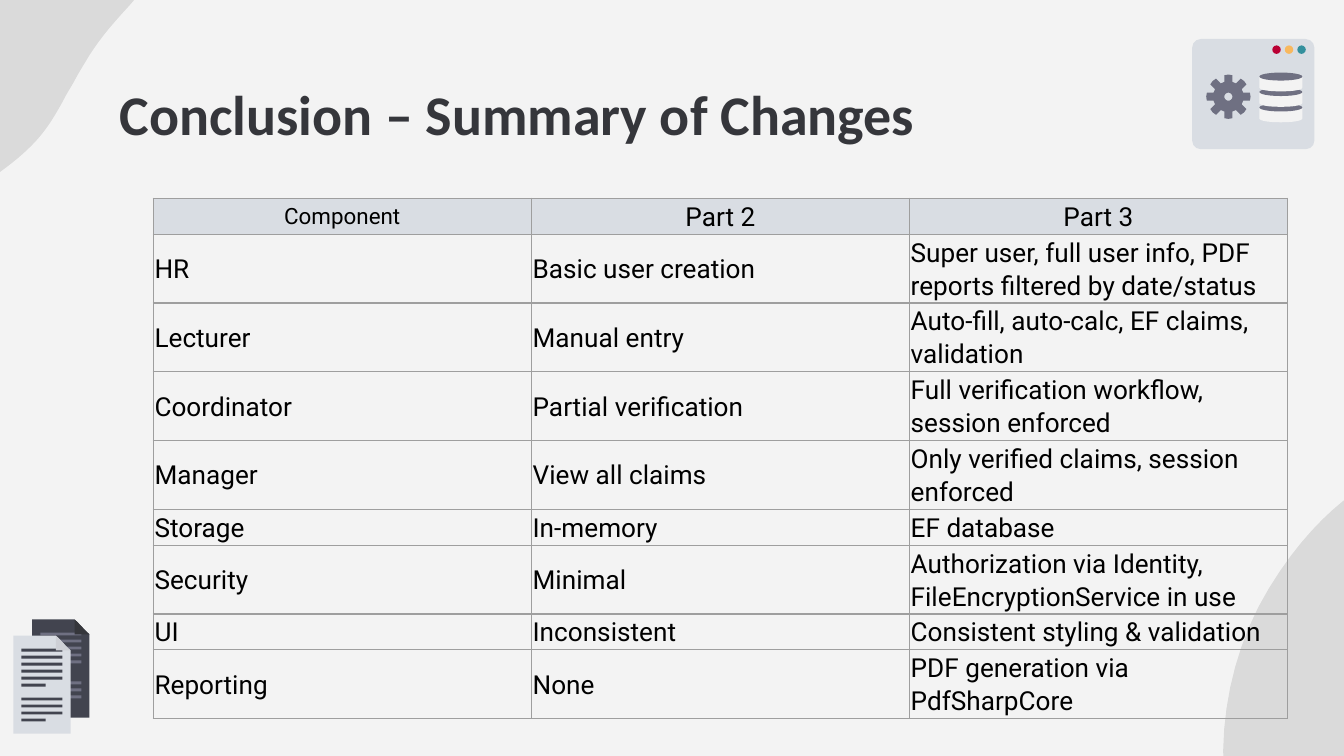
from dataclasses import dataclass
from math import cos, pi, sin

from lxml.etree import SubElement
from pptx import Presentation
from pptx.dml.color import RGBColor
from pptx.enum.shapes import MSO_SHAPE as Preset
from pptx.enum.text import MSO_ANCHOR as Anchor, MSO_AUTO_SIZE as AutoSize, PP_ALIGN as Align
from pptx.oxml.ns import qn
from pptx.util import Inches, Pt


@dataclass(frozen=True)
class Theme:
    background: str = "F3F3F3"
    title: str = "35363B"
    text: str = "000000"
    panel: str = "D9DDE3"
    fold: str = "CED0D6"
    dark: str = "42444F"
    muted: str = "6F7082"
    border: str = "9E9E9E"
    buttons: tuple = ("BA0034", "F8B85E", "34909D")
    title_font: str = "Calibri"
    body_font: str = "Roboto"
    title_size: int = 30
    body_size: int = 14
    small_size: int = 12


THEME = Theme()
COLUMNS, ROWS = 1000, 562.5
CELL = Inches(10) / COLUMNS

RIGHT_BLOB = [
    (1075, 348), (1093, 350, 1116, 357, 1137, 378), (1184, 424, 1202, 508, 1218, 575),
    (1234, 642, 1215, 707, 1173, 734), (1162, 740, 1153, 742, 1144, 741),
    (1117, 739, 1094, 711, 1053, 705), (1046, 704, 1040, 704, 1034, 703),
    (1027, 702, 1021, 702, 1015, 701), (987, 699, 971, 694, 940, 660),
    (899, 612, 900, 510, 944, 438), (987, 367, 1034, 352, 1034, 352),
    (1034, 352, 1051, 346, 1075, 348),
]
LEFT_BLOB = [
    (-88, -23), (-80, -38, -68, -54, -51, -67), (-12, -98, 32, -99, 68, -101),
    (104, -104, 125, -79, 121, -42), (120, -33, 117, -25, 113, -18),
    (102, 2, 81, 16, 63, 47), (60, 52, 57, 57, 55, 61), (52, 66, 49, 71, 47, 75),
    (35, 97, 26, 109, 0, 128), (-37, 153, -82, 136, -97, 92),
    (-113, 47, -101, 9, -101, 9), (-101, 9, -97, -6, -88, -23),
]
TABLE_ROWS = [
    ("Component", "Part 2", "Part 3"),
    ("HR", "Basic user creation", "Super user, full user info, PDF reports filtered by date/status"),
    ("Lecturer", "Manual entry", "Auto-fill, auto-calc, EF claims, validation"),
    ("Coordinator", "Partial verification", "Full verification workflow, session enforced"),
    ("Manager", "View all claims", "Only verified claims, session enforced"),
    ("Storage", "In-memory", "EF database"),
    ("Security", "Minimal", "Authorization via Identity, FileEncryptionService in use"),
    ("UI", "Inconsistent", "Consistent styling & validation"),
    ("Reporting", "None", "PDF generation via PdfSharpCore"),
]
SINGLE_LINE_ROWS = {"Component", "Storage", "UI"}


def grid(cells):
    return round(cells * CELL)


def set_format(target, values):
    for name, value in values.items():
        setattr(target, name, value)


def set_font(font, name, size, color, bold=False):
    set_format(font, {"name": name, "size": Pt(size), "bold": bold})
    font.color.rgb = RGBColor.from_string(color)


def paint(shape, color, alpha=None):
    shape.shadow.inherit = False
    shape.fill.solid()
    shape.fill.fore_color.rgb = RGBColor.from_string(color)
    shape.line.fill.background()
    if alpha:
        color_element = shape.fill._xPr.find(qn("a:solidFill"))[0]
        SubElement(color_element, qn("a:alpha"), val=str(alpha * 1000))
    return shape


def add_preset(shapes, preset, left, top, width, height, color):
    return paint(shapes.add_shape(preset, *map(grid, (left, top, width, height))), color)


def flatten(outline, steps=16):
    points = [outline[0]]
    for segment in outline[1:]:
        if len(segment) == 2:
            points.append(segment)
            continue
        x, y = points[-1]
        x1, y1, x2, y2, x3, y3 = segment
        for t in (step / steps for step in range(1, steps + 1)):
            a, b, c, d = (1 - t) ** 3, 3 * t * (1 - t) ** 2, 3 * t * t * (1 - t), t ** 3
            points.append((a * x + b * x1 + c * x2 + d * x3, a * y + b * y1 + c * y2 + d * y3))
    return points


def add_outline(shapes, contours, color, alpha=None):
    paths = [[(grid(x), grid(y)) for x, y in flatten(contour)] for contour in contours]
    builder = shapes.build_freeform(*paths[0][0], scale=1.0)
    builder.add_line_segments(paths[0][1:], close=True)
    for path in paths[1:]:
        builder.move_to(*path[0])
        builder.add_line_segments(path[1:], close=True)
    return paint(builder.convert_to_shape(), color, alpha)


def add_sheet(shapes, left, top, page, fold, line, short_line):
    right, bottom = left + 42.5, top + 73
    crease = (left + 36, top + 4, left + 38, top + 7, right, top + 11)
    add_outline(shapes, [[(right, bottom), (left, bottom), (left, top), (left + 31.5, top), crease]], page)
    for row in (0, 1, 2, 3, 4, 5, 7, 8, 9, 10):
        short = row in (5, 10)
        add_preset(shapes, Preset.RECTANGLE, left + 6, top + 9.7 + 5.2 * row,
                   18 if short else 30.5, 2.2, short_line if short else line)
    add_outline(shapes, [[(right, top + 11), (left + 31.5, top + 11), (left + 31.5, top), crease]], fold)


def add_documents(slide):
    shapes = slide.shapes.add_group_shape().shapes
    add_sheet(shapes, 24, 461, THEME.dark, THEME.title, THEME.muted, THEME.dark)
    add_sheet(shapes, 10, 473, THEME.panel, THEME.fold, THEME.dark, THEME.dark)


def add_gear(shapes, x, y, color):
    tooth = [(11, -3), (16, -3), (16.5, 0), (16, 3), (11, 3)]
    angles = [turn * pi / 4 for turn in range(8)]
    rim = [(x + u * cos(a) - v * sin(a), y + u * sin(a) + v * cos(a)) for a in angles for u, v in tooth]
    hole = [(x + 3 * cos(step * pi / 12), y - 3 * sin(step * pi / 12)) for step in range(24)]
    add_outline(shapes, [rim, hole], color)


def add_window(slide):
    shapes = slide.shapes.add_group_shape().shapes
    panel = add_preset(shapes, Preset.ROUNDED_RECTANGLE, 887, 29, 91, 82, THEME.panel)
    panel.adjustments[0] = 0.08
    for index, color in enumerate(THEME.buttons):
        add_preset(shapes, Preset.OVAL, 946.7 + 9.3 * index, 33.8, 6.3, 6.3, color)
    add_gear(shapes, 914, 72, THEME.muted)
    for top in (80, 68.5, 57):
        body = [(937, top), (937, top + 8), (937, top + 10, 944, top + 11, 953, top + 11),
                (962, top + 11, 969, top + 10, 969, top + 8), (969, top)]
        add_outline(shapes, [body], THEME.background)
        add_preset(shapes, Preset.OVAL, 937, top - 3, 32, 6, THEME.muted)


def add_title(slide, text):
    title = slide.shapes.title
    title.element.getparent().append(title.element)
    set_format(title, {"left": grid(79), "top": grid(49), "width": grid(843), "height": grid(63)})
    frame = title.text_frame
    frame.text = text
    margins = dict.fromkeys(("margin_left", "margin_right", "margin_top", "margin_bottom"), grid(10))
    set_format(frame, {**margins, "vertical_anchor": Anchor.TOP, "auto_size": AutoSize.NONE, "word_wrap": True})
    paragraph = frame.paragraphs[0]
    paragraph.alignment = Align.LEFT
    set_font(paragraph.runs[0].font, THEME.title_font, THEME.title_size, THEME.title, True)


def set_borders(cell):
    properties = cell._tc.get_or_add_tcPr()
    for index, side in enumerate(("a:lnL", "a:lnR", "a:lnT", "a:lnB")):
        line = properties.makeelement(qn(side), {"w": str(Pt(0.75))})
        fill = SubElement(line, qn("a:solidFill"))
        SubElement(fill, qn("a:srgbClr"), val=THEME.border)
        properties.insert(index, line)


def fill_cell(cell, text, header, size):
    margins = dict.fromkeys(("margin_left", "margin_right", "margin_top", "margin_bottom"), grid(1))
    set_format(cell, {**margins, "text": text, "vertical_anchor": Anchor.MIDDLE})
    paragraph = cell.text_frame.paragraphs[0]
    set_format(paragraph, {"alignment": Align.CENTER if header else Align.LEFT,
                           "line_spacing": 1.07, "space_after": Pt(8)})
    set_font(paragraph.runs[0].font, THEME.body_font, size, THEME.text)
    if header:
        cell.fill.solid()
        cell.fill.fore_color.rgb = RGBColor.from_string(THEME.panel)
    else:
        cell.fill.background()
    set_borders(cell)


def add_summary_table(slide, rows):
    heights = [26.7 if row[0] in SINGLE_LINE_ROWS else 51.2 for row in rows]
    frame = slide.shapes.add_table(len(rows), len(rows[0]), grid(114), grid(147.5), grid(844), grid(sum(heights)))
    table = frame.table
    set_format(table, {"first_row": False, "horz_banding": False})
    for row_index, row in enumerate(rows):
        table.rows[row_index].height = grid(heights[row_index])
        for column_index, text in enumerate(row):
            corner = row_index == column_index == 0
            size = THEME.small_size if corner else THEME.body_size
            fill_cell(table.cell(row_index, column_index), text, row_index == 0, size)


def main():
    presentation = Presentation()
    set_format(presentation, {"slide_width": grid(COLUMNS), "slide_height": grid(ROWS)})
    slide = presentation.slides.add_slide(presentation.slide_layouts[5])
    slide.background.fill.solid()
    slide.background.fill.fore_color.rgb = RGBColor.from_string(THEME.background)
    add_outline(slide.shapes, [RIGHT_BLOB], THEME.text, alpha=10)
    add_documents(slide)
    add_outline(slide.shapes, [LEFT_BLOB], THEME.text, alpha=10)
    add_window(slide)
    add_title(slide, "Conclusion – Summary of Changes")
    add_summary_table(slide, TABLE_ROWS)
    presentation.save("out.pptx")


if __name__ == "__main__":
    main()
